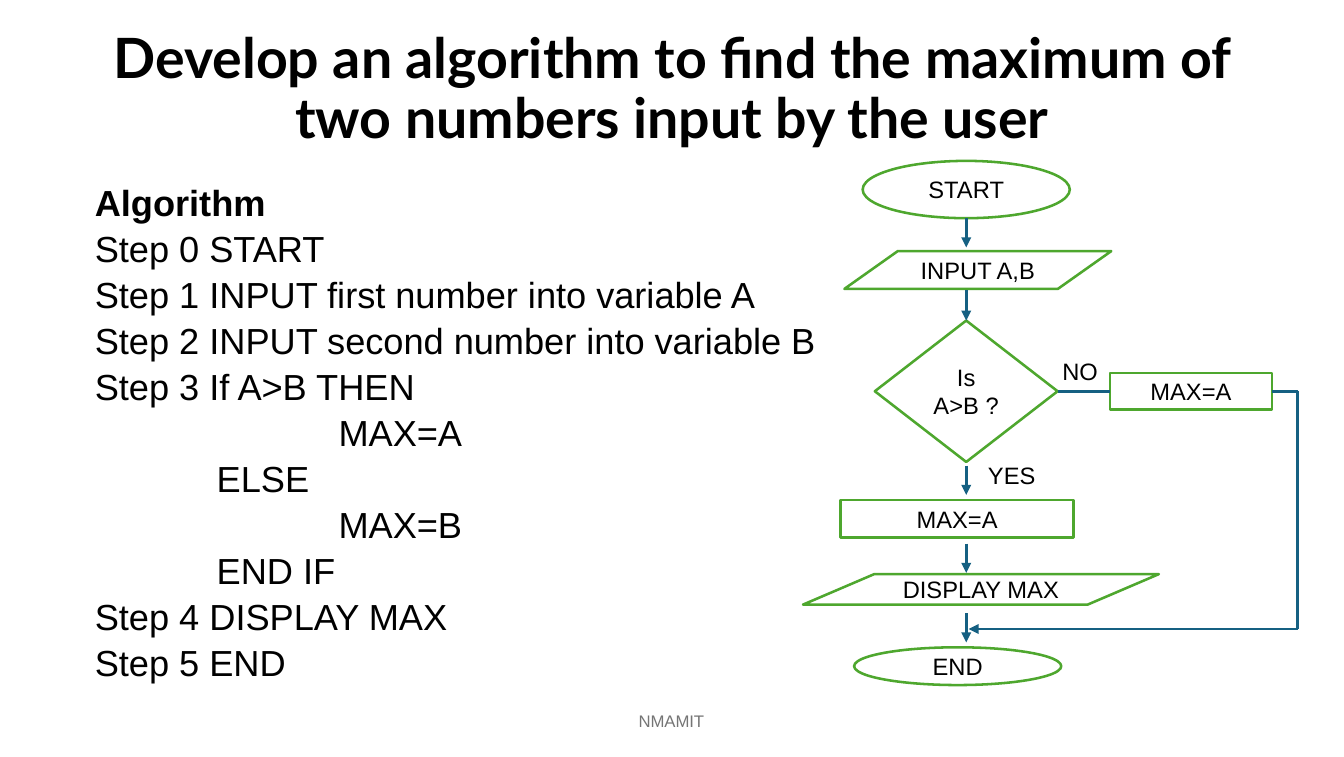
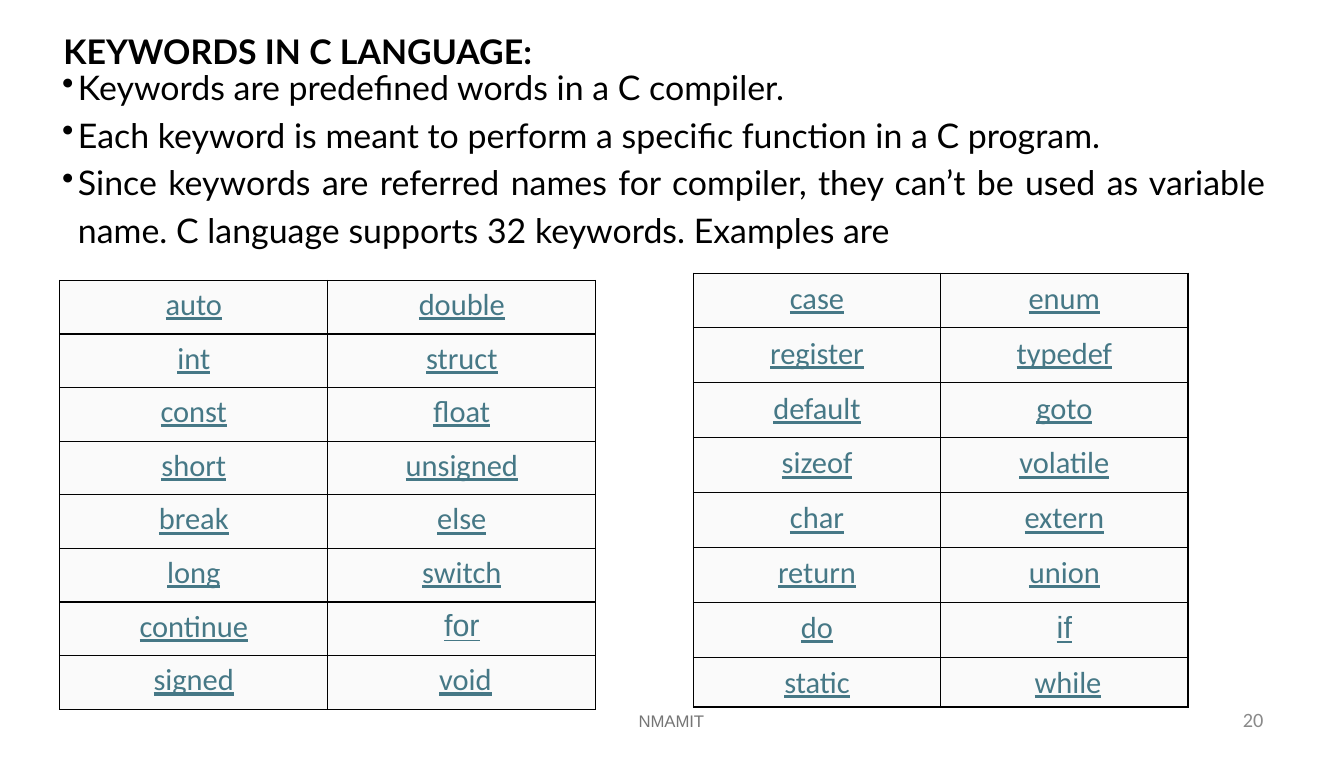
from dataclasses import dataclass
from lxml import etree
from pptx import Presentation
from pptx.dml.color import RGBColor
from pptx.enum.shapes import MSO_CONNECTOR, MSO_SHAPE
from pptx.enum.text import MSO_ANCHOR, PP_ALIGN
from pptx.oxml.ns import qn
from pptx.shapes.autoshape import Shape
from pptx.shapes.connector import Connector
from pptx.slide import Slide
from pptx.table import _Cell
from pptx.text.text import TextFrame, _Paragraph
from pptx.util import Inches, Pt

OVAL = MSO_SHAPE.OVAL
DATA = MSO_SHAPE.FLOWCHART_DATA
RECT = MSO_SHAPE.RECTANGLE
DIAMOND = MSO_SHAPE.DIAMOND
LINE = MSO_CONNECTOR.STRAIGHT
LEFT, MID, JUST = PP_ALIGN.LEFT, PP_ALIGN.CENTER, PP_ALIGN.JUSTIFY
TOP, CORE = MSO_ANCHOR.TOP, MSO_ANCHOR.MIDDLE

BLACK, WHITE, GREEN, BLUE = "000000", "FFFFFF", "4EA72E", "156082"
TEAL, PALE, GREY, DIM = "467886", "FAFAFA", "757575", "8A8A8A"
PAD = (0.1, 0.05, 0.1, 0.05)
SLIM = (0, 0.01, 0, 0)


@dataclass(frozen=True)
class Face:
    size: float
    name: str = "Arial"
    hue: str = BLACK
    bold: bool = False
    under: bool = False


@dataclass(frozen=True)
class Area:
    left: float
    top: float
    width: float
    height: float


@dataclass(frozen=True)
class Node:
    kind: MSO_SHAPE
    text: str
    area: Area


@dataclass(frozen=True)
class Grid:
    area: Area
    inset: float
    rows: tuple[float, ...]
    words: tuple[str, ...]


HEAD = Face(32.8, "Lato", bold=True)
BODY = Face(21.4)
BOLD = Face(21.4, bold=True)
NOTE = Face(14)
FOOT = Face(9.9, hue=GREY)
TOPIC = Face(20, "Lato", bold=True)
POINT = Face(20, "Lato")
PAGE = Face(12, "Calibri", DIM)
WORD = Face(18, "Calibri", TEAL, under=True)
SHORT = Face(18, "Arial", TEAL, under=True)

STEPS = (
    "Algorithm",
    "Step 0 START",
    "Step 1 INPUT first number into variable A",
    "Step 2 INPUT second number into variable B",
    "Step 3 If A>B THEN",
    "\t\tMAX=A",
    "\tELSE",
    "\t\tMAX=B",
    "\tEND IF",
    "Step 4 DISPLAY MAX",
    "Step 5 END",
)
FACTS = (
    "KEYWORDS IN C LANGUAGE:",
    "Keywords are predefined words in a C compiler.",
    "Each keyword is meant to perform a specific function in a C program.",
    "Since keywords are referred names for compiler, they can’t be used as "
    "variable name. C language supports 32 keywords. Examples are",
)
NODES = (
    Node(OVAL, "START", Area(7.08, 1.32, 1.7, 0.47)),
    Node(DATA, "INPUT A,B", Area(6.93, 2.06, 2.19, 0.31)),
    Node(RECT, "MAX=A", Area(6.9, 4.1, 1.91, 0.31)),
    Node(DATA, "DISPLAY MAX", Area(6.59, 4.71, 2.92, 0.25)),
    Node(OVAL, "END", Area(7.01, 5.31, 1.7, 0.31)),
)
TEST = Node(DIAMOND, "Is A>B ?", Area(7.18, 2.63, 1.5, 1.16))
OTHER = Node(RECT, "MAX=A", Area(9.11, 3.06, 1.33, 0.3))
AXIS, EDGE, LEVEL, JOIN, DROP = 7.93, 10.65, 3.21, 5.16, 0.24
DROPS = (1.79, 2.38, 3.82, 4.46, 5.03)

GRIDS = (
    Grid(Area(0.49, 2.3, 4.4, 3.49), 0.05, (0.44,) * 8, (
        "auto", "double", "int", "struct", "const", "float",
        "short", "unsigned", "break", "else", "long", "switch",
        "continue", "for", "signed", "void")),
    Grid(Area(5.69, 2.24, 4.06, 3.55), 0.06, (0.45,) * 7 + (0.41,), (
        "case", "enum", "register", "typedef", "default", "goto",
        "sizeof", "volatile", "char", "extern", "return", "union",
        "do", "if", "static", "while")),
)


def ink(code: str) -> RGBColor:
    return RGBColor.from_string(code)


def place(area: Area) -> tuple[Inches, ...]:
    return tuple(Inches(v) for v in (area.left, area.top, area.width, area.height))


def style(para: _Paragraph, face: Face, align: PP_ALIGN) -> None:
    para.alignment = align
    for run in para.runs:
        font = run.font
        font.size, font.name = Pt(face.size), face.name
        font.bold, font.underline = face.bold, face.under
        font.color.rgb = ink(face.hue)


def frame(box: TextFrame, pad: tuple[float, ...], anchor: MSO_ANCHOR) -> None:
    box.word_wrap = True
    box.vertical_anchor = anchor
    (box.margin_left, box.margin_top,
     box.margin_right, box.margin_bottom) = (Inches(v) for v in pad)


def write(slide: Slide, text: str, area: Area, face: Face, align: PP_ALIGN = LEFT,
          pad: tuple[float, ...] = PAD, anchor: MSO_ANCHOR = TOP) -> TextFrame:
    box = slide.shapes.add_textbox(*place(area)).text_frame
    frame(box, pad, anchor)
    box.text = text
    for para in box.paragraphs:
        style(para, face, align)
    return box


def footer(slide: Slide) -> None:
    write(slide, "NMAMIT", Area(3.65, 5.75, 3.72, 0.33), FOOT, MID, anchor=CORE)


def margin(para: _Paragraph, left: float, first: float = 0) -> None:
    props = para._p.get_or_add_pPr()
    props.set("marL", str(Inches(left)))
    props.set("indent", str(Inches(first)))


def tabs(para: _Paragraph) -> None:
    stops = etree.SubElement(para._p.get_or_add_pPr(), qn("a:tabLst"))
    for pos in (1, 2):
        etree.SubElement(stops, qn("a:tab"), pos=str(Inches(pos)), algn="l")


def bullet(para: _Paragraph) -> None:
    margin(para, 0.13, -0.16)
    props = para._p.get_or_add_pPr()
    tint = etree.SubElement(props, qn("a:buClr"))
    etree.SubElement(tint, qn("a:srgbClr"), val=BLACK)
    etree.SubElement(props, qn("a:buChar"), char="•")


def block(slide: Slide, node: Node) -> Shape:
    shape = slide.shapes.add_shape(node.kind, *place(node.area))
    shape.shadow.inherit = False
    shape.fill.solid()
    shape.fill.fore_color.rgb = ink(WHITE)
    shape.line.color.rgb = ink(GREEN)
    shape.line.width = Pt(1.5)
    box = shape.text_frame
    frame(box, PAD, CORE)
    box.text = node.text
    style(box.paragraphs[0], NOTE, MID)
    return shape


def link(slide: Slide, x: float, y: float, to_x: float, to_y: float,
         arrow: bool = False) -> Connector:
    wire = slide.shapes.add_connector(
        LINE, Inches(x), Inches(y), Inches(to_x), Inches(to_y))
    wire.line.color.rgb = ink(BLUE)
    wire.line.width = Pt(1.5)
    if arrow:
        etree.SubElement(wire.line._get_or_add_ln(), qn("a:tailEnd"), type="triangle")
    etree.SubElement(wire._element.spPr, qn("a:effectLst"))
    return wire


def border(cell: _Cell) -> None:
    props = cell._tc.get_or_add_tcPr()
    for spot, side in enumerate(("lnL", "lnR", "lnT", "lnB")):
        edge = etree.Element(qn(f"a:{side}"), w=str(Pt(0.75)))
        fill = etree.SubElement(edge, qn("a:solidFill"))
        etree.SubElement(fill, qn("a:srgbClr"), val=BLACK)
        props.insert(spot, edge)


def table(slide: Slide, grid: Grid) -> None:
    count = len(grid.rows)
    body = slide.shapes.add_table(count, 2, *place(grid.area)).table
    body.first_row = body.horz_banding = False
    for col in body.columns:
        col.width = Inches(grid.area.width / 2)
    for row, height in zip(body.rows, grid.rows):
        row.height = Inches(height)
    for spot, (cell, word) in enumerate(zip(body.iter_cells(), grid.words)):
        small = word in ("for", "if")
        cell.margin_left = cell.margin_right = cell.margin_bottom = 0
        cell.margin_top = Inches(grid.inset + 0.01 * small)
        cell.fill.solid()
        cell.fill.fore_color.rgb = ink(PALE)
        border(cell)
        cell.text_frame.text = word
        para = cell.text_frame.paragraphs[0]
        style(para, SHORT if small else WORD, MID)
        if spot == len(grid.words) - 1:
            margin(para, 0.06)


def chart(slide: Slide) -> None:
    for node in NODES:
        block(slide, node)
    test, other = block(slide, TEST), block(slide, OTHER)
    for top in DROPS:
        wire = link(slide, AXIS, top, AXIS, top + DROP, True)
        if top == DROPS[1]:
            wire.end_connect(test, 0)
    branch = link(slide, 8.68, LEVEL, 9.11, LEVEL)
    branch.begin_connect(test, 3)
    branch.end_connect(other, 1)
    link(slide, 10.44, LEVEL, EDGE, LEVEL).begin_connect(other, 3)
    link(slide, EDGE, LEVEL, EDGE, JOIN)
    link(slide, EDGE, JOIN, AXIS + 0.02, JOIN, True)
    write(slide, "YES", Area(8.01, 3.73, 0.71, 0.34), NOTE)
    write(slide, "NO", Area(8.62, 2.88, 0.58, 0.34), NOTE)


def maximum(slide: Slide) -> None:
    title = write(
        slide, "Develop an algorithm to find the maximum of two numbers input by the user",
        Area(0.76, 0.14, 9.51, 1.2), HEAD, MID, anchor=CORE)
    title.paragraphs[0].line_spacing = 0.9
    steps = write(slide, "\n".join(STEPS), Area(0.68, 1.5, 9.51, 3.94), BODY)
    for spot, para in enumerate(steps.paragraphs):
        tabs(para)
        para.line_spacing = 0.8
        if spot:
            para.space_before = Pt(6.6)
    style(steps.paragraphs[0], BOLD, LEFT)
    chart(slide)
    footer(slide)


def keywords(slide: Slide) -> None:
    facts = write(slide, "\n".join(FACTS), Area(0.51, 0.24, 9.88, 2.17),
                  POINT, JUST, SLIM)
    topic, *points = facts.paragraphs
    style(topic, TOPIC, JUST)
    margin(topic, 0.01)
    for para, space in zip(points, (0.9, 1.17, 1.17)):
        bullet(para)
        para.line_spacing = space
    for grid in GRIDS:
        table(slide, grid)
    page = write(slide, "20", Area(10.19, 5.79, 0.2, 0.23), PAGE, pad=SLIM)
    margin(page.paragraphs[0], 0.01)
    footer(slide)


def main() -> None:
    deck = Presentation()
    deck.slide_width, deck.slide_height = Inches(11.03), Inches(6.21)
    for draw in (maximum, keywords):
        draw(deck.slides.add_slide(deck.slide_layouts[6]))
    deck.save("out.pptx")


if __name__ == "__main__":
    main()
